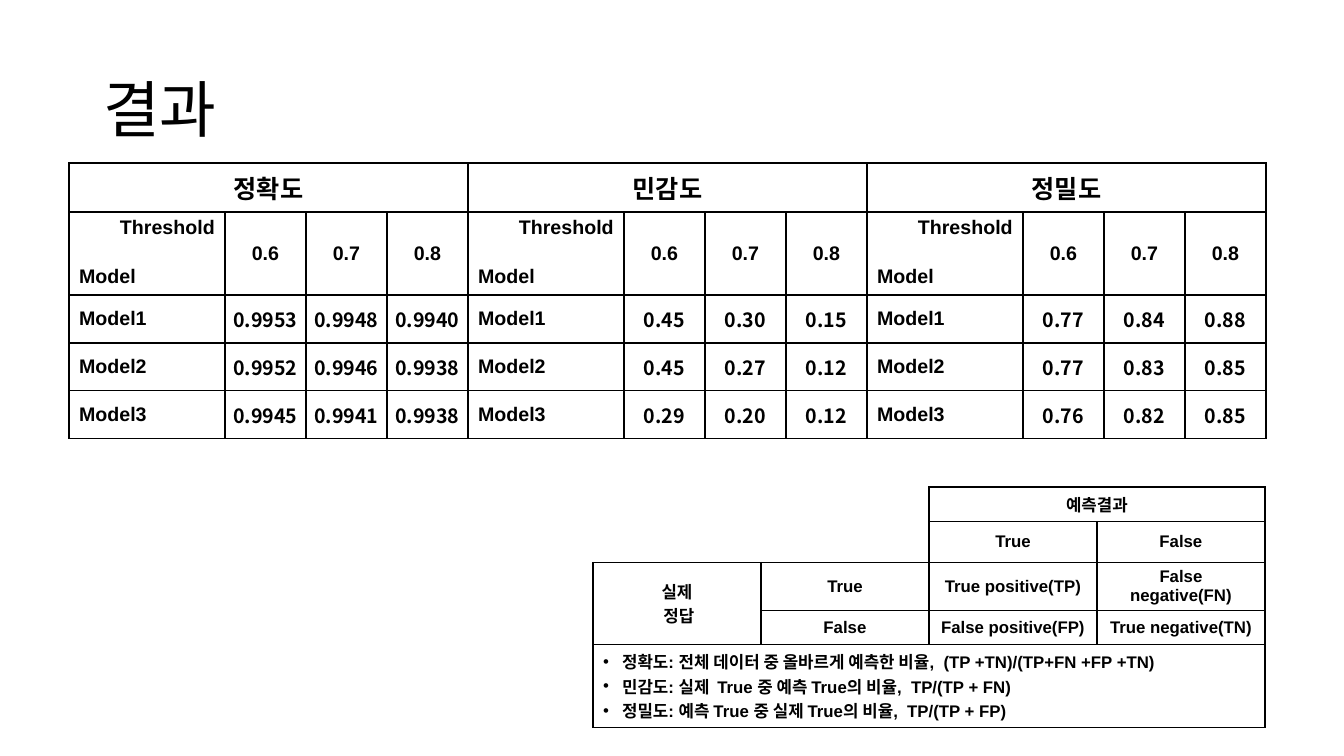
from pptx import Presentation
from pptx.dml.color import RGBColor as Rgb
from pptx.enum.text import MSO_ANCHOR as Anchor, PP_ALIGN as Align
from pptx.oxml.ns import qn
from pptx.util import Pt
from lxml.etree import SubElement as Sub

HEAD = "결과"
RATES = ["0.6", "0.7", "0.8"]
MODELS = ["Model1", "Model2", "Model3"]
SCORES = {
    "정확도": [["0.9953", "0.9948", "0.9940"],
            ["0.9952", "0.9946", "0.9938"],
            ["0.9945", "0.9941", "0.9938"]],
    "민감도": [["0.45", "0.30", "0.15"],
            ["0.45", "0.27", "0.12"],
            ["0.29", "0.20", "0.12"]],
    "정밀도": [["0.77", "0.84", "0.88"],
            ["0.77", "0.83", "0.85"],
            ["0.76", "0.82", "0.85"]],
}
MATRIX = {
    (0, 2): ["예측결과"],
    (1, 2): ["True"], (1, 3): ["False"],
    (2, 0): ["실제", " 정답"],
    (2, 1): ["True"], (2, 2): ["True positive(TP)"], (2, 3): ["False negative(FN)"],
    (3, 1): ["False"], (3, 2): ["False positive(FP)"], (3, 3): ["True negative(TN)"],
}
RULES = [
    "정확도: 전체 데이터 중 올바르게 예측한 비율,  (TP +TN)/(TP+FN +FP +TN)",
    "민감도: 실제  True 중 예측 True의 비율,  TP/(TP + FN)",
    "정밀도: 예측 True 중 실제 True의 비율,  TP/(TP + FP)",
]

SCALE = 914400 / 100.8
INK, LATIN, HANGUL = "000000", "Arial", "Noto Sans CJK KR"
LEFT, MID, RIGHT = Align.LEFT, Align.CENTER, Align.RIGHT
SCORE_COLS, SCORE_ROWS = [156, 81, 81, 81], [49, 83, 48, 48, 48]
MATRIX_COLS, MATRIX_ROWS = [168] * 4, [34, 34, 48, 34, 83]
TIGHT = {"margin_left": 1, "margin_right": 1, "margin_top": 1, "margin_bottom": 0}


def px(n):
    return round(n * SCALE)


def color(code):
    return Rgb.from_string(code)


def put(obj, vals):
    for name, val in vals.items():
        setattr(obj, name, val)


def write(par, text, size, face=LATIN, bold=True, align=MID):
    par.alignment = align
    run = par.add_run()
    run.text = text
    put(run.font, {"size": Pt(size), "name": face, "bold": bold})
    run.font.color.rgb = color(INK)
    Sub(run._r.rPr, qn("a:ea")).set("typeface", HANGUL)


def fill(cell, lines, size, **look):
    frame = cell.text_frame
    for i, text in enumerate(lines):
        write(frame.add_paragraph() if i else frame.paragraphs[0], text, size, **look)
    return frame.paragraphs


def edge(cell, sides):
    props = cell._tc.get_or_add_tcPr()
    for side in "LRTB":
        line = Sub(props, qn("a:ln" + side), w=str(Pt(1)))
        if side in sides:
            Sub(Sub(line, qn("a:solidFill")), qn("a:srgbClr"), val=INK)
        else:
            Sub(line, qn("a:noFill"))


def grid(slide, left, top, cols, rows, blank=()):
    box = slide.shapes.add_table(len(rows), len(cols), px(left), px(top),
                                 px(sum(cols)), px(sum(rows)))
    table = box.table
    put(table, {"first_row": False, "horz_banding": False})
    for col, wide in zip(table.columns, cols):
        col.width = px(wide)
    for r, high in enumerate(rows):
        table.rows[r].height = px(high)
        for c in range(len(cols)):
            cell = table.cell(r, c)
            edge(cell, "RB" if (r, c) in blank else "LRTB")
            cell.fill.background()
            cell.vertical_anchor = Anchor.MIDDLE
    return table


def merge(table, start, end):
    table.cell(*start).merge(table.cell(*end))


def score(slide, left, name, data):
    table = grid(slide, left, 163, SCORE_COLS, SCORE_ROWS)
    merge(table, (0, 0), (0, 3))
    fill(table.cell(0, 0), [name], 18)
    key = table.cell(1, 0)
    key.vertical_anchor = Anchor.TOP
    first, last = fill(key, ["Threshold", "Model"], 14, align=LEFT)
    first.alignment = RIGHT
    last.space_before = Pt(19)
    for c, rate in enumerate(RATES, 1):
        fill(table.cell(1, c), [rate], 14)
    for r, (model, vals) in enumerate(zip(MODELS, data), 2):
        fill(table.cell(r, 0), [model], 14, align=LEFT)
        for c, val in enumerate(vals, 1):
            cell = table.cell(r, c)
            put(cell, {k: px(v) for k, v in TIGHT.items()})
            fill(cell, [val], 14, face=HANGUL)


def matrix(slide):
    blank = [(r, c) for r in range(2) for c in range(2)]
    table = grid(slide, 593, 487, MATRIX_COLS, MATRIX_ROWS, blank)
    for span in [((0, 0), (1, 1)), ((0, 2), (0, 3)), ((2, 0), (3, 0)), ((4, 0), (4, 3))]:
        merge(table, *span)
    for spot, lines in MATRIX.items():
        fill(table.cell(*spot), lines, 12)
    for par in fill(table.cell(4, 0), RULES, 12, align=LEFT):
        props = par._p.get_or_add_pPr()
        props.set("marL", str(px(19)))
        props.set("indent", str(-px(19)))
        Sub(props, qn("a:buFont"), typeface=LATIN)
        Sub(props, qn("a:buChar"), char="•")


deck = Presentation()
put(deck, {"slide_width": px(1344), "slide_height": px(756)})
slide = deck.slides.add_slide(deck.slide_layouts[5])
title = slide.shapes.title
put(title, {"left": px(93), "top": px(40), "width": px(1159), "height": px(146)})
title.text_frame.vertical_anchor = Anchor.MIDDLE
par = title.text_frame.paragraphs[0]
par.line_spacing = 0.9
write(par, HEAD, 44, face=HANGUL, bold=False, align=LEFT)
matrix(slide)
for i, (name, data) in enumerate(SCORES.items()):
    score(slide, 69 + i * sum(SCORE_COLS), name, data)
deck.save("out.pptx")
